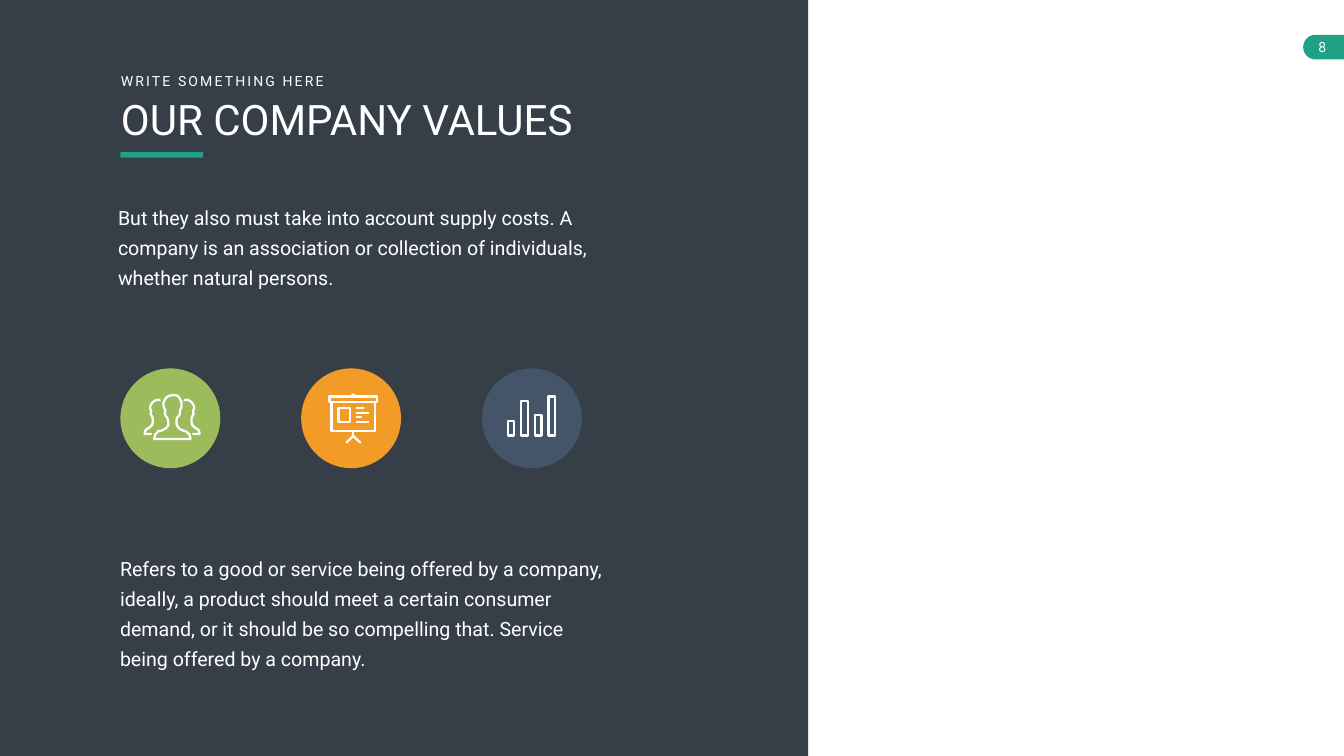
from dataclasses import dataclass

from pptx import Presentation
from pptx.dml.color import RGBColor
from pptx.enum.shapes import MSO_SHAPE
from pptx.enum.text import MSO_ANCHOR, PP_ALIGN
from pptx.oxml.ns import qn
from pptx.util import Inches, Pt


@dataclass(frozen=True)
class Theme:
    """Hold the colours, type sizes and line weights of the slide."""

    font: str = "Roboto"
    white: str = "FFFFFF"
    panel: str = "363E48"
    accent: str = "1EA185"
    people: str = "9BBB5C"
    board: str = "F29B26"
    chart: str = "445469"
    title: int = 60
    body: int = 28
    small: int = 20
    leading: int = 43
    stroke: float = 3.2


THEME = Theme()
WIDTH, HEIGHT = Inches(26.66), Inches(15)
ICON_UNIT = Inches(0.01)
BODY_INSETS = (0.24, 0.12)


def place(left, top, width, height):
    """Turn percentages of the slide's size into lengths."""
    return (
        round(WIDTH * left / 100),
        round(HEIGHT * top / 100),
        round(WIDTH * width / 100),
        round(HEIGHT * height / 100),
    )


def add_block(slide, kind, box, color):
    """Add a plain filled shape without an outline."""
    shape = slide.shapes.add_shape(kind, *place(*box))
    shape.shadow.inherit = False
    shape.fill.solid()
    shape.fill.fore_color.rgb = RGBColor.from_string(color)
    shape.line.fill.background()
    return shape


def add_text(slide, text, box, *, size, insets=(0.1, 0.05), leading=None,
             spacing=None, align=PP_ALIGN.LEFT, anchor=MSO_ANCHOR.TOP):
    """Add a white text box with one paragraph."""
    frame = slide.shapes.add_textbox(*place(*box)).text_frame
    frame.word_wrap = True
    frame.vertical_anchor = anchor
    frame.margin_left = frame.margin_right = Inches(insets[0])
    frame.margin_top = frame.margin_bottom = Inches(insets[1])
    paragraph = frame.paragraphs[0]
    paragraph.alignment = align
    if leading:
        paragraph.line_spacing = Pt(leading)
    run = paragraph.add_run()
    run.text = text
    run.font.name = THEME.font
    run.font.size = Pt(size)
    run.font.color.rgb = RGBColor.from_string(THEME.white)
    if spacing:
        run.font._element.set("spc", str(spacing * 100))


def rectangle(left, top, right, bottom):
    """Return the closed outline of a rectangle."""
    return [(left, top), (right, top), (right, bottom), (left, bottom), (left, top)]


def people_strokes():
    """Return the strokes of a group of three people."""
    front = [
        (67, 140), (69, 131), (75, 125), (83, 123), (90, 119), (95, 113),
        (95, 106), (93, 98), (89, 93), (88, 89), (89, 83), (86, 77),
        (85, 69), (88, 62), (92, 57), (98, 54), (106, 53), (113, 54),
        (118, 60), (121, 67), (121, 77), (118, 83), (118, 89), (117, 93),
        (112, 98), (111, 106), (112, 113), (116, 119), (123, 123),
        (130, 125), (137, 131), (139, 140), (67, 140),
    ]
    right = [
        (127, 63), (131, 62), (137, 64), (142, 68), (146, 75), (146, 80),
        (144, 85), (145, 91), (143, 94), (141, 99), (141, 106), (142, 112),
        (147, 117), (152, 120), (156, 124), (157, 130), (144, 130),
    ]
    left = [(205 - x, y) for x, y in right]
    return [front, right, left]


def board_strokes():
    """Return the strokes of a presentation board on a stand."""
    text_lines = [
        [(110, 79 + 9 * row), (end, 79 + 9 * row)]
        for row, end in enumerate((124, 133, 119, 133))
    ]
    return [
        rectangle(56, 56, 151, 66),
        rectangle(60, 66, 146, 124),
        rectangle(74, 79, 97, 106),
        [(100, 54), (103, 52), (106, 54)],
        [(103, 124), (103, 134)],
        [(90, 147), (103, 134), (117, 147)],
        *text_lines,
    ]


def chart_strokes():
    """Return the strokes of four outlined bars."""
    return [
        rectangle(51 + 27 * column, top, 64 + 27 * column, 133)
        for column, top in enumerate((105, 65, 92, 56))
    ]


def add_icon(slide, box, color, strokes):
    """Add a coloured disc with a white line drawing on it."""
    disc = add_block(slide, MSO_SHAPE.OVAL, box, color)
    builder = slide.shapes.build_freeform(*strokes[0][0], scale=ICON_UNIT)
    for stroke in strokes:
        builder.move_to(*stroke[0])
        builder.add_line_segments(stroke[1:], close=stroke[0] == stroke[-1])
    drawing = builder.convert_to_shape(disc.left, disc.top)
    drawing.shadow.inherit = False
    drawing.fill.background()
    drawing.line.color.rgb = RGBColor.from_string(THEME.white)
    drawing.line.width = Pt(THEME.stroke)
    outline = drawing._element.spPr.find(qn("a:ln"))
    outline.set("cap", "rnd")
    outline.append(outline.makeelement(qn("a:round"), {}))


def add_page_number(slide, number):
    """Add the rounded page tab at the right edge."""
    cap = add_block(slide, MSO_SHAPE.FLOWCHART_DELAY, (96.96, 4.6, 1.84, 3.27), THEME.accent)
    cap.rotation = 180
    add_block(slide, MSO_SHAPE.RECTANGLE, (98.8, 4.6, 1.2, 3.27), THEME.accent)
    add_text(slide, number, (97.07, 4.47, 2.63, 3.6), size=THEME.small,
             insets=(0, 0), align=PP_ALIGN.CENTER, anchor=MSO_ANCHOR.MIDDLE)


def add_heading(slide, kicker, title):
    """Add the kicker, the title and the accent rule."""
    add_block(slide, MSO_SHAPE.RECTANGLE, (8.96, 20.13, 6.15, 0.73), THEME.accent)
    add_text(slide, title, (8.63, 12.07, 37.66, 7.4), size=THEME.title)
    add_text(slide, kicker, (8.63, 9.27, 18, 2.93), size=THEME.small, spacing=3)


def add_body(slide, text, box):
    """Add a body paragraph with wide leading."""
    add_text(slide, text, box, size=THEME.body, insets=BODY_INSETS, leading=THEME.leading)


def main():
    """Build the company values slide."""
    presentation = Presentation()
    presentation.slide_width, presentation.slide_height = WIDTH, HEIGHT
    slide = presentation.slides.add_slide(presentation.slide_layouts[6])
    add_page_number(slide, "8")
    add_block(slide, MSO_SHAPE.RECTANGLE, (0, 0, 60.13, 100), THEME.panel)
    add_body(slide, "But they also must take into account supply costs. A company is an "
             "association or collection of individuals, whether natural persons.",
             (7.88, 25.6, 36.72, 13.2))
    add_body(slide, "Refers to a good or service being offered by a company, ideally, a "
             "product should meet a certain consumer demand, or it should be so compelling "
             "that. Service being offered by a company.",
             (8.03, 71.93, 38.26, 17.33))
    add_heading(slide, "WRITE SOMETHING HERE", "OUR COMPANY VALUES")
    icons = (
        (THEME.people, people_strokes()),
        (THEME.board, board_strokes()),
        (THEME.chart, chart_strokes()),
    )
    for column, (color, strokes) in enumerate(icons):
        add_icon(slide, (8.96 + 13.45 * column, 48.73, 7.43, 13.2), color, strokes)
    presentation.save("out.pptx")


if __name__ == "__main__":
    main()
